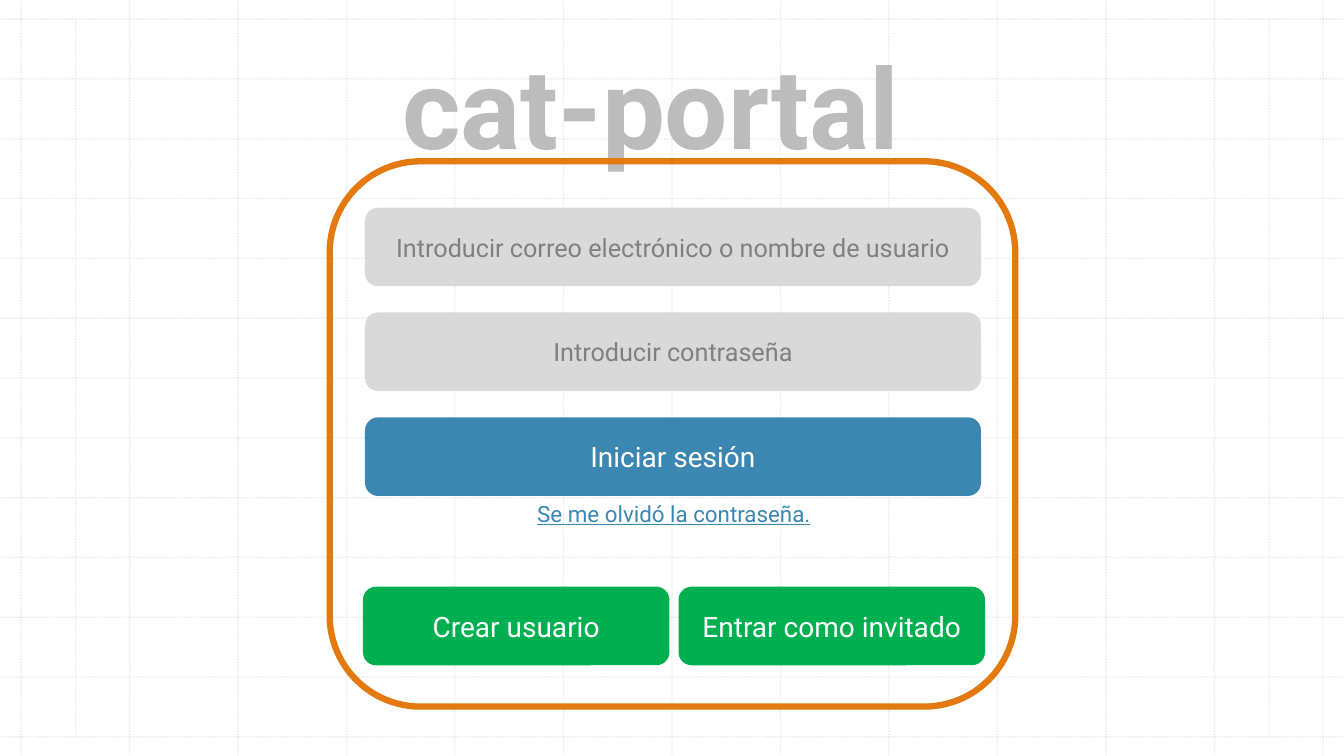
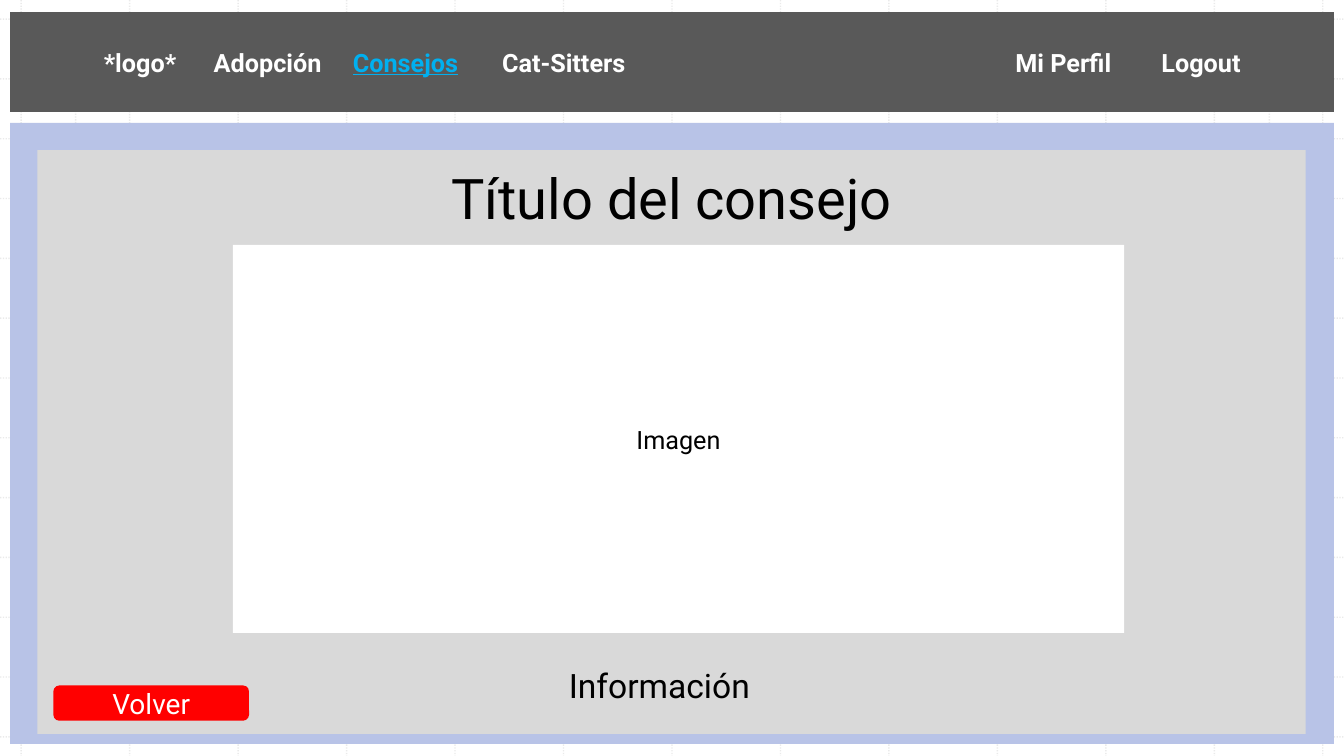
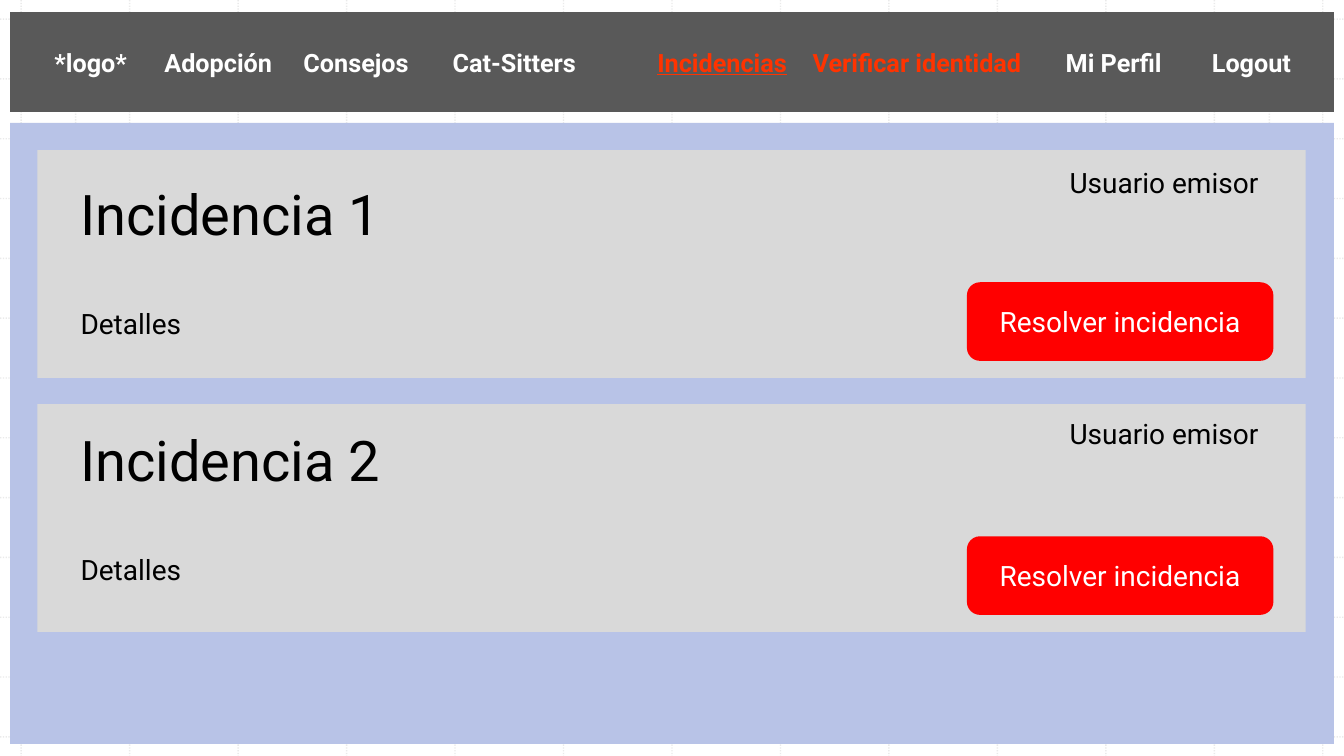
import pptx
import pptx.dml.color
import pptx.enum.dml
import pptx.enum.shapes
import pptx.enum.text
import pptx.oxml
import pptx.oxml.ns
import pptx.util

Inches = pptx.util.Inches
Pt = pptx.util.Pt
ALIGN = pptx.enum.text.PP_ALIGN
ANCHOR = pptx.enum.text.MSO_ANCHOR
SHAPE = pptx.enum.shapes.MSO_SHAPE

COLOURS = {
    "white": "FFFFFF", "black": "000000", "grid": "BCBCBC",
    "orange": "E3790F", "field": "D9D9D9", "hint": "808080",
    "blue": "3B87B1", "green": "00B050", "red": "FF0000",
    "bar": "595959", "body": "B8C3E7", "current": "00B0F0", "admin": "FF3300",
}
FONT = "Roboto"
WIDTH, HEIGHT = 13.33, 7.5
NAV_BOX = (0.1, 0.12, 13.13, 0.99)
BODY_BOX = (0.1, 1.22, 13.13, 6.16)
CARD_LEFT, CARD_TOP, CARD_WIDTH = 0.37, 1.49, 12.58
NAV_START = [("*logo*", 0), ("Adopción", 1.09), ("Consejos", 2.47), ("Cat-Sitters", 3.95)]


def colour(name):
    """Return the named colour."""
    return pptx.dml.color.RGBColor.from_string(COLOURS[name])


def make_element(tag, **attributes):
    """Return a new DrawingML element."""
    element = pptx.oxml.parse_xml(f"<a:{tag} {pptx.oxml.ns.nsdecls('a')}/>")
    for key, value in attributes.items():
        element.set(key, str(value))
    return element


def add_span(para, text, size=18, ink="black", bold=False, underline=False):
    """Add a formatted run to a paragraph."""
    span = para.add_run()
    span.text = text
    span.font.name = FONT
    span.font.size = Pt(size)
    span.font.bold = bold
    span.font.underline = underline
    span.font.color.rgb = colour(ink)


def add_block(page, box, fill=None, text=None, preset=SHAPE.RECTANGLE, **style):
    """Add a shape with optional fill and centred text."""
    block = page.shapes.add_shape(preset, *map(Inches, box))
    block.shadow.inherit = False
    block.line.fill.background()
    if fill:
        block.fill.solid()
        block.fill.fore_color.rgb = colour(fill)
    else:
        block.fill.background()
    if text:
        block.text_frame.vertical_anchor = ANCHOR.MIDDLE
        para = block.text_frame.paragraphs[0]
        para.alignment = ALIGN.CENTER
        add_span(para, text, **style)
    return block


def add_button(page, box, fill, text, size=20, ink="white"):
    """Add a rounded button or field."""
    add_block(page, box, fill, text, SHAPE.ROUNDED_RECTANGLE, size=size, ink=ink)


def add_label(page, box, text, align=ALIGN.LEFT, wrap=False, **style):
    """Add a text box and return its frame."""
    frame = page.shapes.add_textbox(*map(Inches, box)).text_frame
    frame.word_wrap = wrap
    frame.auto_size = pptx.enum.text.MSO_AUTO_SIZE.SHAPE_TO_FIT_TEXT
    para = frame.paragraphs[0]
    para.alignment = align
    add_span(para, text, **style)
    return frame


def add_grid_line(page, start, end):
    """Add one dotted, translucent grid line."""
    kind = pptx.enum.shapes.MSO_CONNECTOR.STRAIGHT
    line = page.shapes.add_connector(kind, *map(Inches, start + end))
    line.line.color.rgb = colour("grid")
    line.line.width = Pt(1)
    line.line.dash_style = pptx.enum.dml.MSO_LINE.ROUND_DOT
    tint = next(line.element.iter(pptx.oxml.ns.qn("a:srgbClr")))
    tint.append(make_element("alpha", val=30000))
    line.element.spPr.append(make_element("effectLst"))
    return line


def move_grid_to_layout(page):
    """Draw the shared grid and place it on the layout of the page."""
    layout = page.slide_layout
    for holder in list(layout.placeholders):
        holder.element.getparent().remove(holder.element)
    columns = [0.21 + step * 12.91 / 12 for step in range(13)]
    rows = [0.19 + step * 7.12 / 12 for step in range(13)]
    ends = [((x, 0), (x, HEIGHT)) for x in columns]
    ends += [((0, y), (WIDTH, y)) for y in rows]
    ends += [((x, rows[0]), (x, rows[-1])) for x in (0.75, 12.59)]
    lines = [add_grid_line(page, start, end) for start, end in ends]
    for line in lines:
        layout.element.cSld.spTree.append(line.element)


def add_navigation(page, box, inset, entries, current, accent, admin=()):
    """Add the top bar, with its entries set on tab stops."""
    bar = add_block(page, box, "bar")
    frame = bar.text_frame
    frame.margin_left = Inches(inset)
    frame.vertical_anchor = ANCHOR.MIDDLE
    para = frame.paragraphs[0]
    para.alignment = ALIGN.LEFT
    stops = make_element("tabLst")
    for number, (text, offset) in enumerate(entries):
        if number:
            stops.append(make_element("tab", pos=Inches(offset), algn="l"))
            add_span(para, "\t", ink="white", bold=True)
        ink = accent if text == current or text in admin else "white"
        add_span(para, text, ink=ink, bold=True, underline=text == current)
    next(bar.element.iter(pptx.oxml.ns.qn("a:pPr"))).append(stops)


def add_login(page, box):
    """Add the login panel with its title, fields and buttons."""
    left, top = box[:2]
    add_label(page, (left + 0.49, top - 1.28, 5.4, 1.45), "cat-portal",
              ALIGN.CENTER, size=80, ink="grid", bold=True)
    panel = add_block(page, box, preset=SHAPE.ROUNDED_RECTANGLE)
    panel.line.color.rgb = colour("orange")
    panel.line.width = Pt(4.5)
    rows = [
        ("Introducir correo electrónico o nombre de usuario", "field", 18, "hint"),
        ("Introducir contraseña", "field", 18, "hint"),
        ("Iniciar sesión", "blue", 20, "white"),
    ]
    for number, (text, fill, size, ink) in enumerate(rows):
        row_box = (left + 0.35, top + 0.46 + number * 1.04, 6.11, 0.78)
        add_button(page, row_box, fill, text, size, ink)
    for number, text in enumerate(("Crear usuario", "Entrar como invitado")):
        button_box = (left + 0.33 + number * 3.13, top + 4.22, 3.04, 0.78)
        add_button(page, button_box, "green", text)
    add_label(page, (left + 1.96, top + 3.31, 3.01, 0.37), "Se me olvidó la contraseña.",
              size=16, ink="blue", underline=True)


def add_advice(page, box):
    """Add the advice card with its image area and back button."""
    left, top = box[:2]
    add_block(page, box, "field")
    add_label(page, (left + 3.32, top + 0.08, 5.94, 0.77), "Título del consejo",
              ALIGN.CENTER, wrap=True, size=40)
    add_block(page, (left + 1.94, top + 0.94, 8.84, 3.85), "white", "Imagen")
    add_label(page, (left + 3.2, top + 5.06, 5.94, 0.5), "Información",
              ALIGN.CENTER, wrap=True, size=24)
    add_button(page, (left + 0.16, top + 5.31, 1.94, 0.35), "red", "Volver")


def add_incident(page, box, name, title_drop, sender_drop):
    """Add one incident card."""
    left, top = box[:2]
    add_block(page, box, "field")
    frame = add_label(page, (left + 0.33, top + title_drop, 3.19, 1.72), name, size=40)
    details = frame.add_paragraph()
    details.space_before = Pt(43)
    add_span(details, "Detalles", size=20)
    add_label(page, (left + 10.14, top + sender_drop, 2.12, 0.44), "Usuario emisor", size=20)
    add_button(page, (left + 9.22, top + 1.31, 3.04, 0.78), "red", "Resolver incidencia")


def main():
    """Build and save the deck."""
    deck = pptx.Presentation()
    deck.slide_width, deck.slide_height = Inches(WIDTH), Inches(HEIGHT)
    login, advice, incidents = [deck.slides.add_slide(deck.slide_layouts[6]) for _ in range(3)]
    move_grid_to_layout(login)

    add_login(login, (3.27, 1.6, 6.8, 5.41))

    add_block(advice, BODY_BOX, "body")
    add_advice(advice, (CARD_LEFT, CARD_TOP, CARD_WIDTH, 5.79))
    entries = NAV_START + [("Mi Perfil", 9.04), ("Logout", 10.49)]
    add_navigation(advice, NAV_BOX, 0.93, entries, "Consejos", "current")

    add_block(incidents, BODY_BOX, "body")
    for number, drops in enumerate(((0.24, 0.1), (0.16, 0.07))):
        card_box = (CARD_LEFT, CARD_TOP + number * 2.52, CARD_WIDTH, 2.26)
        add_incident(incidents, card_box, f"Incidencia {number + 1}", *drops)
    entries = NAV_START + [("Incidencias", 5.98), ("Verificar identidad", 7.52),
                           ("Mi Perfil", 10.03), ("Logout", 11.48)]
    add_navigation(incidents, NAV_BOX, 0.44, entries, "Incidencias", "admin",
                   admin=("Verificar identidad",))

    deck.save("out.pptx")


if __name__ == "__main__":
    main()
